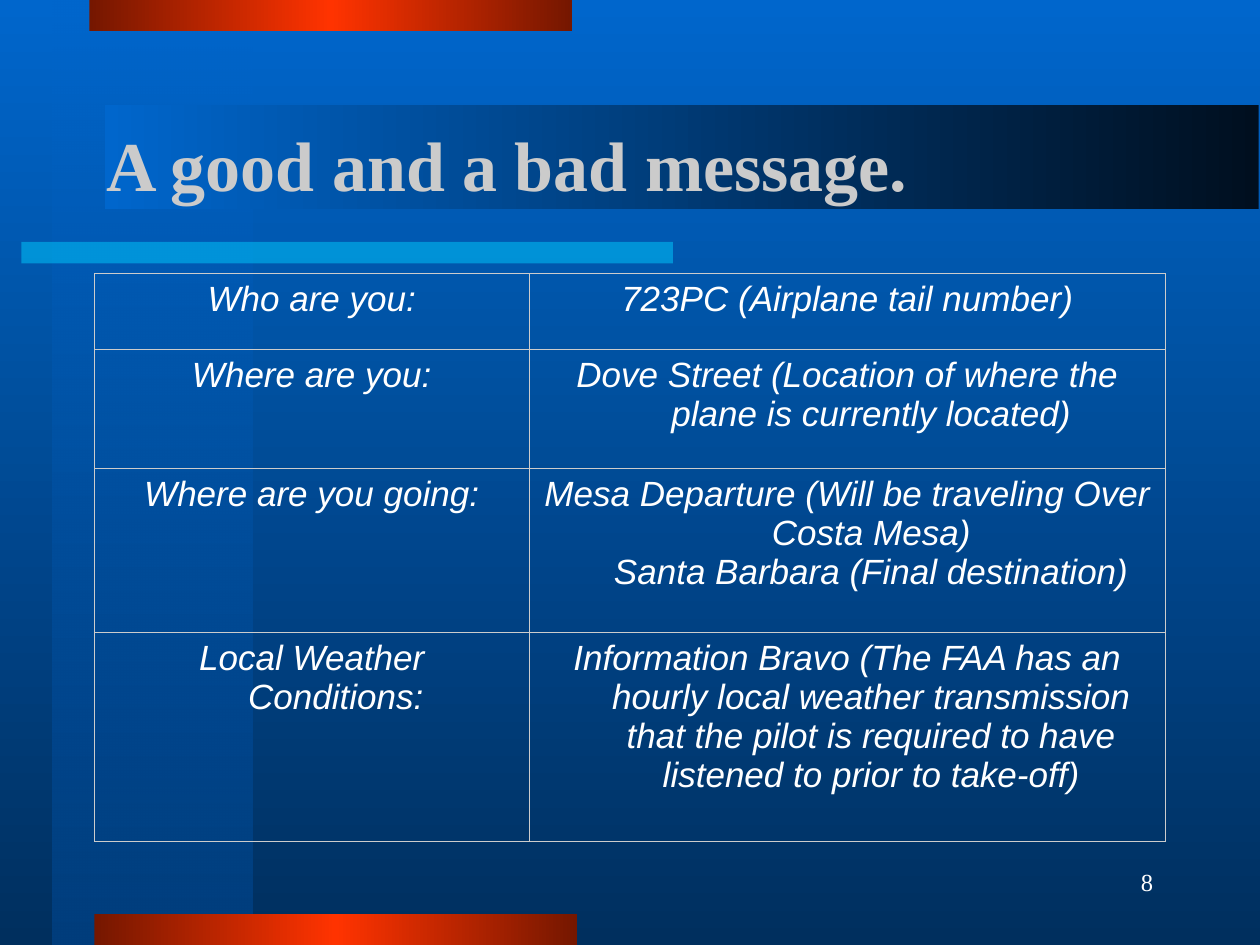
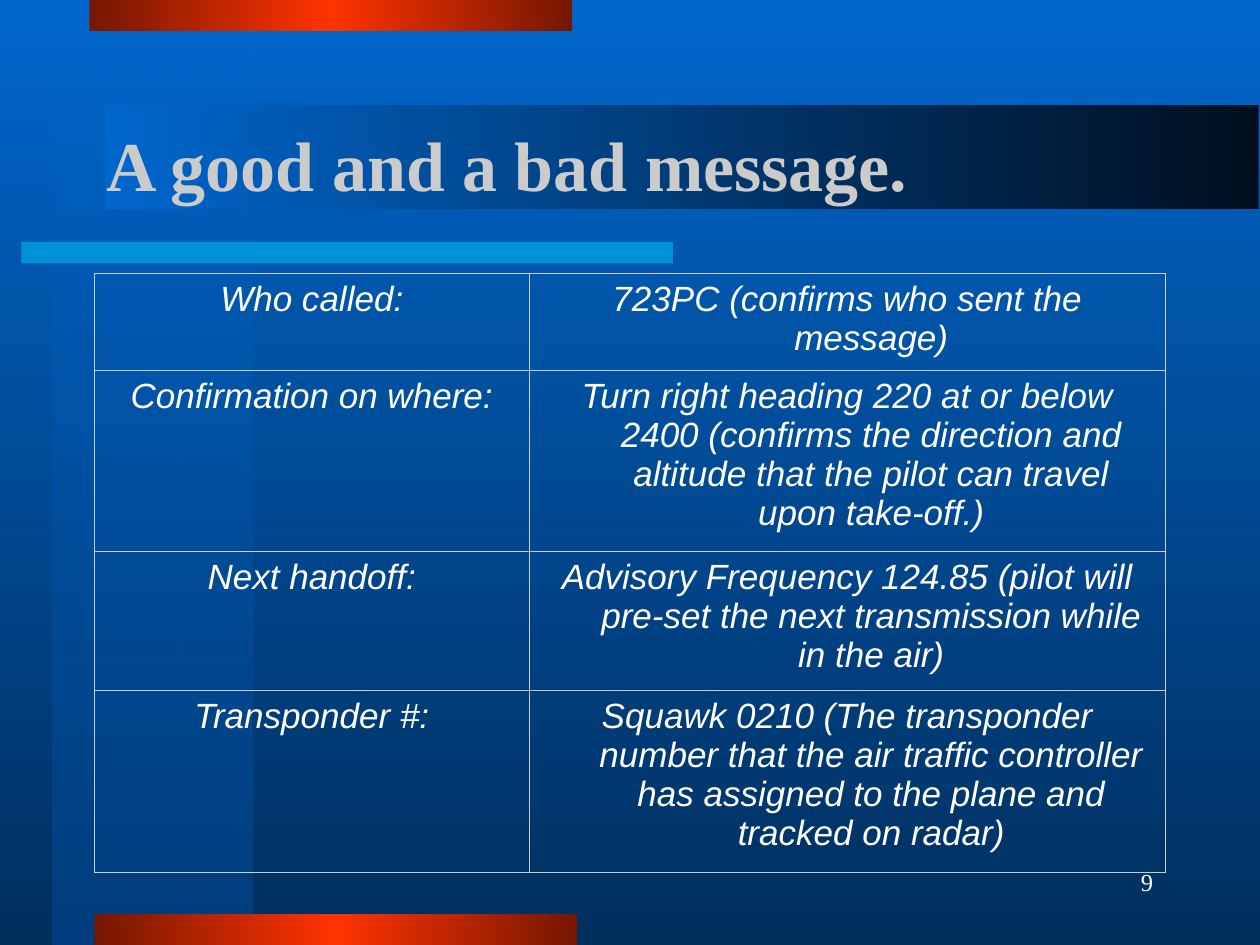
from lxml import etree
from pptx import Presentation
from pptx.dml.color import RGBColor
from pptx.enum import shapes, text
from pptx.oxml import parse_xml
from pptx.oxml.ns import nsdecls, qn
from pptx.util import Inches, Pt

COLORS = {
    "sky": "0066CC", "deep": "002F5E", "column": "003E7D", "night": "000F1F",
    "cyan": "00CCFF", "ember": "751700", "red": "FF3300",
    "title": "CBCBCB", "white": "FFFFFF", "border": "CCCCCC",
}
EMBER_GLOW = [(0, "ember", 100), (50, "red", 100), (100, "ember", 100)]

# box, gradient stops (position, colour, opacity), clockwise angle
BANDS = [
    ((0.42, 0, 1.58, 7.5), [(0, "sky", 50), (100, "column", 100)], 90),
    ((0.17, 1.92, 5.17, 0.17), [(0, "cyan", 50), (100, "cyan", 50)], 0),
    ((0.75, 7.25, 3.83, 0.25), EMBER_GLOW, 180),
    ((0.83, 0.83, 9.16, 0.83), [(0, "night", 100), (100, "sky", 100)], 180),
    ((0.71, 0, 3.83, 0.25), EMBER_GLOW, 180),
]
TITLE_BOX = (0.75, 0.67, 8.5, 1.25)
NUMBER_BOX = (7.17, 6.75, 2.08, 0.5)
TABLE_ORIGIN = (0.75, 2.17)
COLUMN_WIDTHS = (3.45, 5.05)
HANGING = 0.38

TITLE_FONT = {"name": "Times New Roman", "size": Pt(40), "bold": True}
NUMBER_FONT = {"name": "Times New Roman", "size": Pt(14)}
CELL_FONT = {"name": "Arial", "size": Pt(20), "italic": True}

TITLE = "A good and a bad message."
# slide number, then rows of (height, label, message)
SLIDES = [
    (8, [
        (0.6, "Who are you:", "723PC (Airplane tail number)"),
        (0.95, "Where are you:",
         "Dove Street (Location of where the plane is currently located)"),
        (1.3, "Where are you going:",
         "Mesa Departure (Will be traveling Over Costa Mesa)\v"
         "Santa Barbara (Final destination)"),
        (1.66, "Local Weather Conditions:",
         "Information Bravo (The FAA has an hourly local weather transmission "
         "that the pilot is required to have listened to prior to take-off)"),
    ]),
    (9, [
        (0.77, "Who called:", "723PC (confirms who sent the message)"),
        (1.44, "Confirmation on where:",
         "Turn right heading 220 at or below 2400 (confirms the direction and "
         "altitude that the pilot can travel upon take-off.)"),
        (1.1, "Next handoff:",
         "Advisory Frequency 124.85 (pilot will pre-set the next transmission "
         "while in the air)"),
        (1.44, "Transponder #:",
         "Squawk 0210 (The transponder number that the air traffic controller "
         "has assigned to the plane and tracked on radar)"),
    ]),
]


def inches(box):
    return [Inches(v) for v in box]


def fill_gradient(owner, fill, stops, angle):
    """Give a slide background or a shape a gradient with any stops and opacity."""
    fill.gradient()
    old = owner.element.find(".//" + qn("a:gradFill"))
    gs = "".join(
        f'<a:gs pos="{pos * 1000}"><a:srgbClr val="{COLORS[color]}">'
        f'<a:alpha val="{alpha * 1000}"/></a:srgbClr></a:gs>'
        for pos, color, alpha in stops)
    old.getparent().replace(old, parse_xml(
        f'<a:gradFill {nsdecls("a")} rotWithShape="1"><a:gsLst>{gs}</a:gsLst>'
        f'<a:lin ang="{angle * 60000}" scaled="0"/></a:gradFill>'))


def write(p, words, font, color, align):
    p.text = words
    p.alignment = align
    for r in p.runs:
        for name, value in font.items():
            setattr(r.font, name, value)
        r.font.color.rgb = RGBColor.from_string(COLORS[color])


def add_text(slide, box, words, font, color, align):
    tf = slide.shapes.add_textbox(*inches(box)).text_frame
    tf.word_wrap = True
    tf.vertical_anchor = text.MSO_ANCHOR.MIDDLE
    write(tf.paragraphs[0], words, font, color, align)


def add_backdrop(slide):
    fill_gradient(slide, slide.background.fill,
                  [(0, "sky", 100), (100, "deep", 100)], 90)
    for box, stops, angle in BANDS:
        sp = slide.shapes.add_shape(shapes.MSO_SHAPE.RECTANGLE, *inches(box))
        sp.shadow.inherit = False
        sp.line.fill.background()
        fill_gradient(sp, sp.fill, stops, angle)


def add_borders(cell):
    tcPr = cell._tc.get_or_add_tcPr()
    for i, side in enumerate("LRTB"):
        ln = etree.Element(qn(f"a:ln{side}"), w=str(Pt(0.45)))
        solid = etree.SubElement(ln, qn("a:solidFill"))
        etree.SubElement(solid, qn("a:srgbClr"), val=COLORS["border"])
        tcPr.insert(i, ln)


def add_message_table(slide, origin, rows):
    height = sum(row[0] for row in rows)
    box = (*origin, sum(COLUMN_WIDTHS), height)
    table = slide.shapes.add_table(
        len(rows), len(COLUMN_WIDTHS), *inches(box)).table
    table.first_row = table.horz_banding = False
    for column, width in zip(table.columns, COLUMN_WIDTHS):
        column.width = Inches(width)
    for row, (row_height, *words) in zip(table.rows, rows):
        row.height = Inches(row_height)
        for cell, cell_text in zip(row.cells, words):
            cell.fill.background()
            add_borders(cell)
            p = cell.text_frame.paragraphs[0]
            write(p, cell_text, CELL_FONT, "white", text.PP_ALIGN.CENTER)
            pPr = p._p.get_or_add_pPr()
            pPr.set("marL", str(Inches(HANGING)))
            pPr.set("indent", str(-Inches(HANGING)))


def add_message_slide(prs, number, rows):
    slide = prs.slides.add_slide(prs.slide_layouts[6])
    add_backdrop(slide)
    add_text(slide, TITLE_BOX, TITLE, TITLE_FONT, "title", text.PP_ALIGN.LEFT)
    add_message_table(slide, TABLE_ORIGIN, rows)
    add_text(slide, NUMBER_BOX, str(number), NUMBER_FONT, "white",
             text.PP_ALIGN.RIGHT)


def main():
    prs = Presentation()
    prs.slide_width, prs.slide_height = Inches(10), Inches(7.5)
    for number, rows in SLIDES:
        add_message_slide(prs, number, rows)
    prs.save("out.pptx")


if __name__ == "__main__":
    main()
